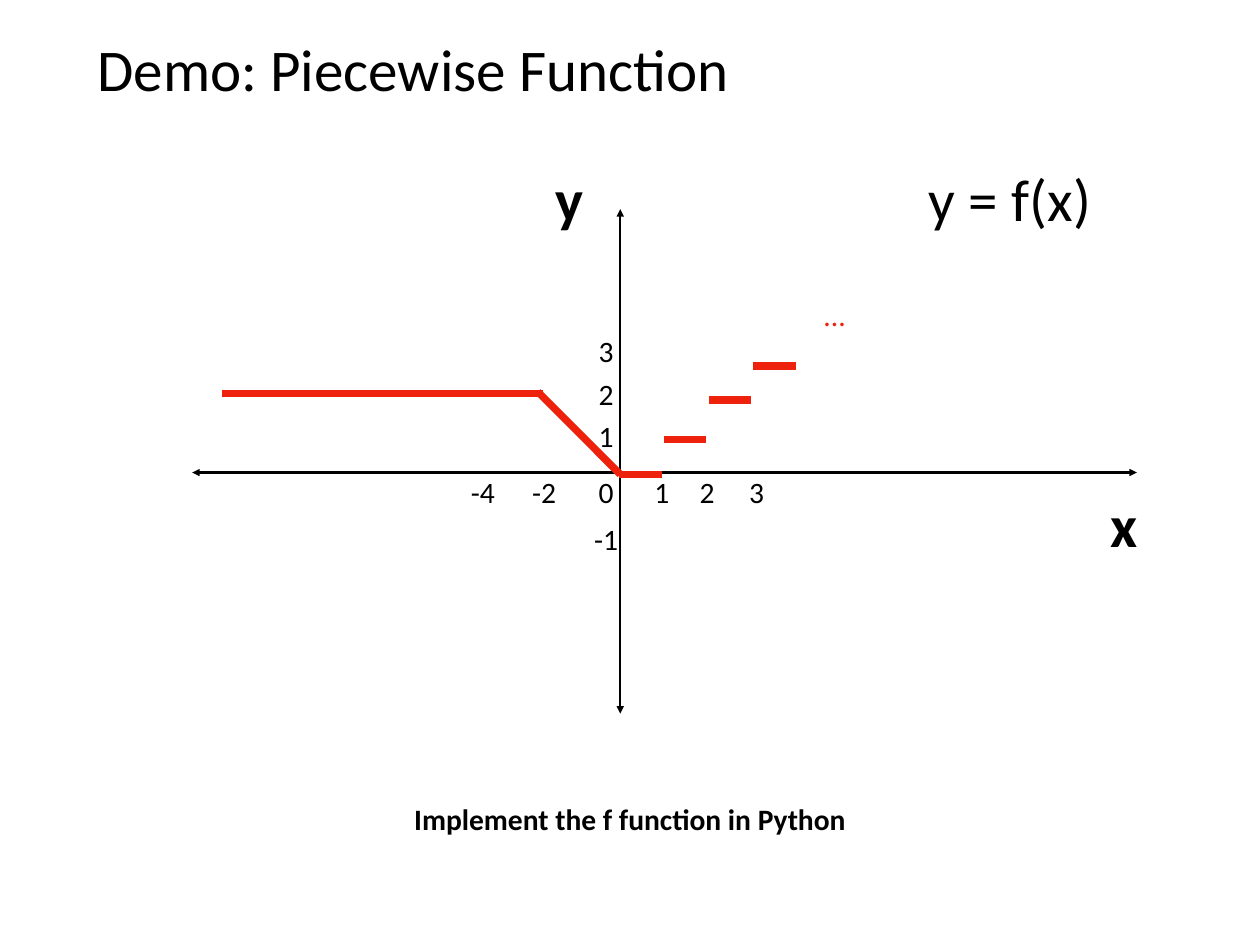
import pptx
import pptx.util
import pptx.dml.color
import pptx.enum.shapes
import pptx.enum.text
import pptx.oxml.ns
from lxml import etree

PX = 9144  # 100 px to the inch
BLACK = pptx.dml.color.RGBColor(0x00, 0x00, 0x00)
RED = pptx.dml.color.RGBColor(0xEE, 0x22, 0x0C)
ALIGN = pptx.enum.text.PP_ALIGN
qn = pptx.oxml.ns.qn

deck = pptx.Presentation()
deck.slide_width, deck.slide_height = 1422 * PX, 1066 * PX
slide = deck.slides.add_slide(deck.slide_layouts[6])


def write(text, x, y, w, h, size=24, bold=False, color=BLACK,
          align=ALIGN.CENTER, wrap=False):
    """Add a text box centred on (x, y)."""
    box = slide.shapes.add_textbox(round((x - w / 2) * PX), round((y - h / 2) * PX),
                                   w * PX, h * PX)
    frame = box.text_frame
    frame.word_wrap = wrap
    frame.vertical_anchor = pptx.enum.text.MSO_ANCHOR.MIDDLE
    frame.margin_left = frame.margin_right = 6 * PX
    frame.margin_top = frame.margin_bottom = 6 * PX
    para = frame.paragraphs[0]
    para.text = text
    para.alignment = align
    para.font.name = "Calibri"
    para.font.size = pptx.util.Pt(size)
    para.font.bold = bold
    para.font.color.rgb = color


def draw(x1, y1, x2, y2, color, width, arrows=False):
    line = slide.shapes.add_connector(pptx.enum.shapes.MSO_CONNECTOR.STRAIGHT,
                                      x1 * PX, y1 * PX, x2 * PX, y2 * PX)
    line.line.color.rgb = color
    line.line.width = pptx.util.Pt(width)
    if arrows:
        for end in ("a:headEnd", "a:tailEnd"):
            etree.SubElement(line.line._ln, qn(end), type="triangle")
    etree.SubElement(line._element.spPr, qn("a:effectLst"))


# Title
write("Demo: Piecewise Function", 711, 77, 1214, 99, 48,
      align=ALIGN.LEFT, wrap=True)

# Axes
draw(700, 805, 700, 236, BLACK, 2, arrows=True)
draw(1283, 533, 217, 533, BLACK, 2, arrows=True)

# Steps, slope and flat part of the function
for x, y in ((699, 535), (749, 496), (800, 451), (850, 413)):
    draw(x, y, x + 48, y, RED, 6)
write("...", 942, 355, 38, 51, color=RED)
draw(607, 442, 700, 535, RED, 6)
draw(251, 444, 613, 444, RED, 6)

# Numbers along the x axis
for text, x in (("-4", 545), ("-2", 614), ("0", 684),
                ("1", 747), ("2", 798), ("3", 854)):
    write(text, x, 555, 41, 51)

# Numbers along the y axis
for num in (1, 2, 3):
    write(str(num), 684, 540 - 48 * num, 30, 51)
write("-1", 684, 608, 41, 51)

# Axis names, formula and task
write("x", 1269, 591, 50, 91, 48, bold=True)
write("y", 643, 223, 49, 91, 48, bold=True)
write("y = f(x)", 1140, 223, 216, 91, 48)
write("Implement the f function in Python", 711, 923, 601, 51, bold=True)

deck.save("out.pptx")
